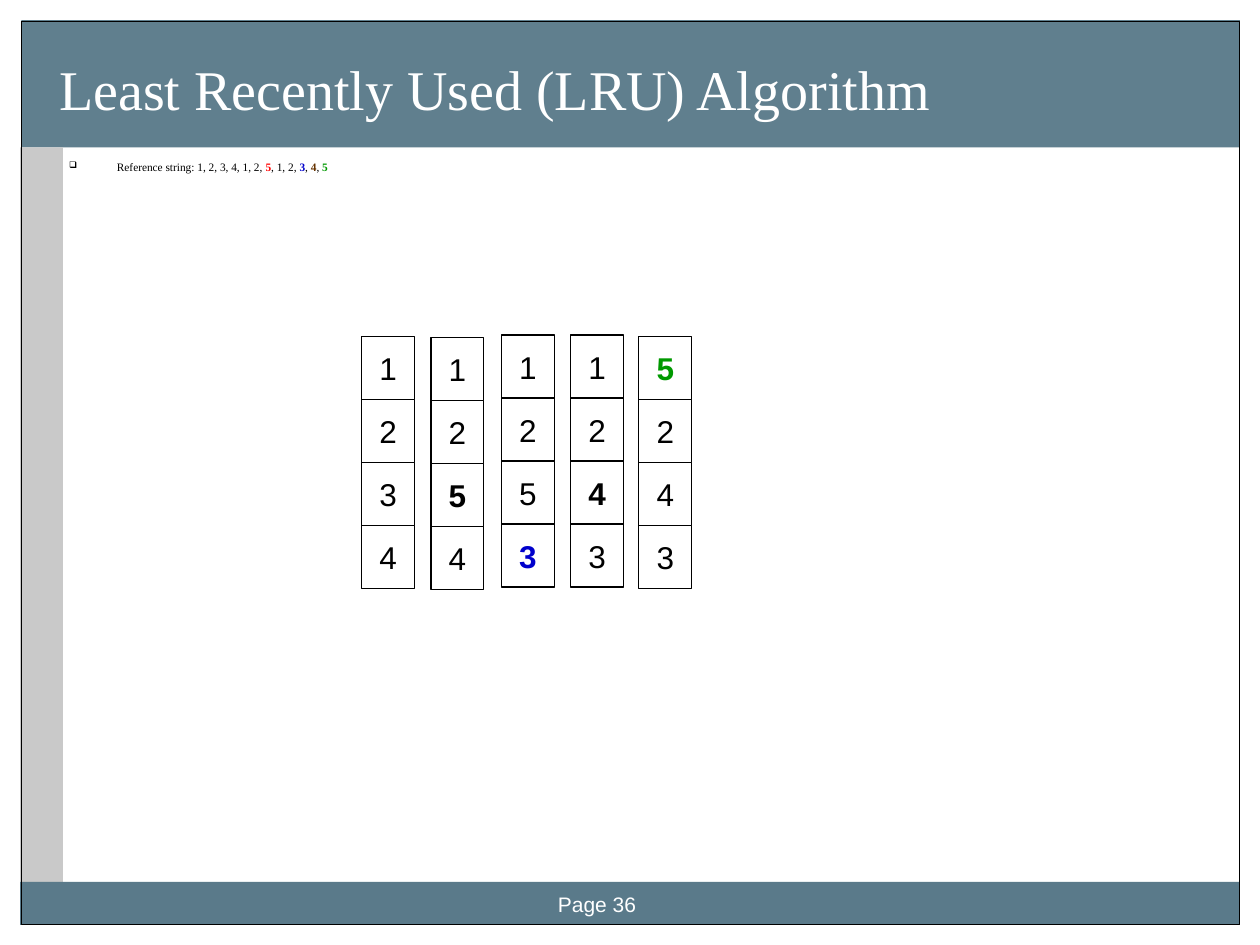
from lxml.etree import SubElement
from pptx import Presentation
from pptx.dml.color import RGBColor
from pptx.enum.shapes import MSO_SHAPE
from pptx.enum.text import MSO_ANCHOR, PP_ALIGN
from pptx.oxml.ns import qn
from pptx.util import Pt

THEME = {
    "sans": "Arial", "serif": "Times New Roman",
    "title": 32, "cell": 18, "page": 12, "body": 6.5,
    "band": "3E6376", "side": "C9C9C9", "white": "FFFFFF", "black": "000000",
    "red": "FF0000", "blue": "0000CC", "brown": "663300", "green": "009900",
}

TITLE = "Least Recently Used (LRU) Algorithm"
PAGE = "Page 36"
REFERENCES = [
    ("Reference string: 1, 2, 3, 4, 1, 2, ", "black", False),
    ("5", "red", True), (", 1, 2, ", "black", False),
    ("3", "blue", True), (", ", "black", False),
    ("4", "brown", True), (", ", "black", False), ("5", "green", True),
]
BANDS = [
    ((12.24, 11.52, 696.24, 72.72), "band", 82),
    ((11.52, 84.24, 24.48, 419.76), "side", 100),
    ((11.52, 504, 696.96, 24.48), "band", 85),
]
FRAMES = [
    (206.64, 192.24, "1234", None, "black"),
    (246.24, 192.96, "1254", 2, "black"),
    (286.56, 191.52, "1253", 3, "blue"),
    (326.16, 191.52, "1243", 2, "black"),
    (365.04, 192.24, "5243", 0, "green"),
]
CELL_W, CELL_H = 30.24, 36


def rgb(name):
    return RGBColor.from_string(THEME[name])


def add_rect(s, box, fill=None, line=None, alpha=100):
    sp = s.shapes.add_shape(MSO_SHAPE.RECTANGLE, *map(Pt, box))
    sp.shadow.inherit = False
    if fill:
        sp.fill.solid()
        sp.fill.fore_color.rgb = rgb(fill)
        if alpha < 100:
            clr = sp.fill._xPr.find(qn("a:solidFill"))[0]
            SubElement(clr, qn("a:alpha"), val=str(alpha * 1000))
    else:
        sp.fill.background()
    if line:
        sp.line.color.rgb = rgb(line)
        sp.line.width = Pt(0.75)
    else:
        sp.line.fill.background()
    return sp


def write(sp, runs, size, font="sans", align=PP_ALIGN.LEFT,
          anchor=MSO_ANCHOR.TOP, left=7.2, bottom=3.6, wrap=True):
    tf = sp.text_frame
    tf.word_wrap = wrap
    tf.vertical_anchor = anchor
    tf.margin_left, tf.margin_right = Pt(left), Pt(7.2)
    tf.margin_top, tf.margin_bottom = Pt(3.6), Pt(bottom)
    p = tf.paragraphs[0]
    p.alignment = align
    for text, color, bold in runs:
        r = p.add_run()
        r.text = text
        r.font.name = THEME[font]
        r.font.size = Pt(THEME[size])
        r.font.bold = bold
        r.font.color.rgb = rgb(color)
    return p


def add_bullet(p, char, indent):
    pPr = p._p.get_or_add_pPr()
    pPr.set("marL", str(Pt(indent)))
    pPr.set("indent", str(-Pt(indent)))
    clr = SubElement(pPr, qn("a:buClr"))
    SubElement(clr, qn("a:srgbClr"), val=THEME["black"])
    SubElement(pPr, qn("a:buSzPct"), val="80000")
    SubElement(pPr, qn("a:buChar"), char=char)


def main():
    prs = Presentation()
    prs.slide_width, prs.slide_height = Pt(720), Pt(540)
    s = prs.slides.add_slide(prs.slide_layouts[6])

    for box, fill, alpha in BANDS:
        add_rect(s, box, fill=fill, alpha=alpha)
    add_rect(s, (12.24, 12.24, 696.24, 516.24), line="black")

    page = s.shapes.add_textbox(Pt(311.76), Pt(506.16), Pt(108), Pt(19.44))
    write(page, [(PAGE, "white", False)], "page")

    title = s.shapes.add_textbox(Pt(12.24), Pt(25.92), Pt(696.24), Pt(53.28))
    write(title, [(TITLE, "white", False)], "title", font="serif",
          anchor=MSO_ANCHOR.BOTTOM, left=21.6, bottom=9.36)

    body = s.shapes.add_textbox(Pt(32.4), Pt(87.84), Pt(658.08), Pt(81.36))
    p = write(body, REFERENCES, "body", font="serif")
    p.space_before = Pt(6.5)
    add_bullet(p, "❑", 27.36)

    for x, y, pages, loaded, color in FRAMES:
        for i, number in enumerate(pages):
            cell = add_rect(s, (x, y + i * CELL_H, CELL_W, CELL_H),
                            fill="white", line="black")
            new = i == loaded
            write(cell, [(number, color if new else "black", new)], "cell",
                  align=PP_ALIGN.CENTER, anchor=MSO_ANCHOR.MIDDLE, wrap=False)

    prs.save("out.pptx")


if __name__ == "__main__":
    main()
